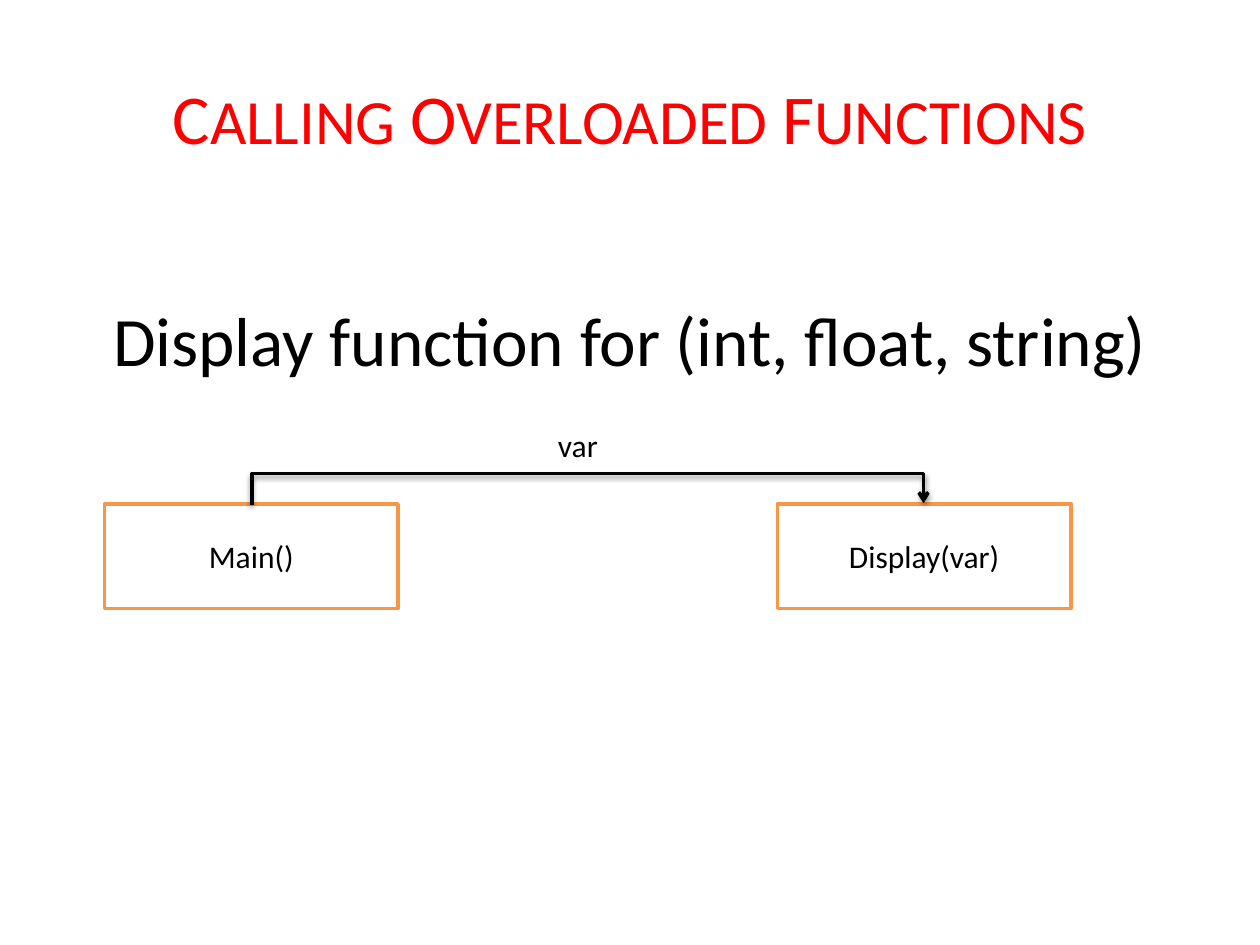
from lxml import etree
from pptx import Presentation
from pptx.dml.color import RGBColor
from pptx.enum import shapes, text
from pptx.oxml import parse_xml
from pptx.util import Inches, Pt

BLACK = RGBColor(0, 0, 0)
WHITE = RGBColor(255, 255, 255)
RED = RGBColor(255, 0, 0)
ORANGE = RGBColor(0xF7, 0x96, 0x46)
NS = "http://schemas.openxmlformats.org/drawingml/2006/main"

deck = Presentation()
deck.slide_width, deck.slide_height = Inches(10), Inches(7.5)
slide = deck.slides.add_slide(deck.slide_layouts[6])


def write(shape, runs, color=BLACK, wrap=True):
    """Put (words, size) runs into a shape as one paragraph."""
    frame = shape.text_frame
    frame.word_wrap = wrap
    para = frame.paragraphs[0]
    if wrap:
        frame.vertical_anchor = text.MSO_ANCHOR.MIDDLE
        para.alignment = text.PP_ALIGN.CENTER
    for words, size in runs:
        run = para.add_run()
        run.text = words
        look = {"name": "Calibri", "size": Pt(size)}
        for key, value in look.items():
            setattr(run.font, key, value)
        run.font.color.rgb = color


def area(*sides):
    """Turn left, top, width and height in inches into lengths."""
    return [Inches(side) for side in sides]


# Headings
head = slide.shapes.add_textbox(*area(0.5, 2.3, 9, 0.78))
write(head, [("Display function for (int, float, string)", 39.6)])

# Caller and called function
wide, high, top = 2.33, 0.83, 4
lefts = {"Main()": 0.83, "Display(var)": 6.17}
for name, left in lefts.items():
    box = slide.shapes.add_shape(
        shapes.MSO_SHAPE.RECTANGLE, *area(left, top, wide, high))
    box.shadow.inherit = False
    box.fill.solid()
    box.fill.fore_color.rgb = WHITE
    box.line.color.rgb = ORANGE
    box.line.width = Pt(2)
    write(box, [(name, 18)])

# Elbow arrow: laid out upright, then turned a quarter to rise over the boxes
span, thick, rise = 5.33, 0.01, 0.25
mid = sum(lefts.values()) / 2 + wide / 2
link = slide.shapes.add_connector(
    shapes.MSO_CONNECTOR.ELBOW,
    *area(mid + thick / 2, top + span / 2, mid - thick / 2, top - span / 2))
link.line.color.rgb = BLACK
link.line.width = Pt(2)
props = link._element.spPr
props.find(f"{{{NS}}}xfrm").set("rot", "5400000")
guides = props.find(f"{{{NS}}}prstGeom/{{{NS}}}avLst")
bend = round(rise / thick * 100000)
etree.SubElement(guides, f"{{{NS}}}gd", name="adj1", fmla=f"val {bend}")
etree.SubElement(props.find(f"{{{NS}}}ln"), f"{{{NS}}}tailEnd", type="arrow")
props.append(parse_xml(
    f'<a:effectLst xmlns:a="{NS}"><a:outerShdw blurRad="40000" dist="20000" '
    'dir="5400000" rotWithShape="0"><a:srgbClr val="000000">'
    '<a:alpha val="38000"/></a:srgbClr></a:outerShdw></a:effectLst>'))

label = slide.shapes.add_textbox(*area(4.33, 3.33, 0.52, 0.4))
write(label, [("var", 18)], wrap=False)
label.text_frame.auto_size = text.MSO_AUTO_SIZE.SHAPE_TO_FIT_TEXT

# Title in large and small capitals
title = slide.shapes.add_textbox(*area(0.5, 0.3, 9, 1.25))
caps = []
for word in ("CALLING ", "OVERLOADED ", "FUNCTIONS"):
    caps += [(word[0], 40), (word[1:], 36)]
write(title, caps, RED)

deck.save("out.pptx")
